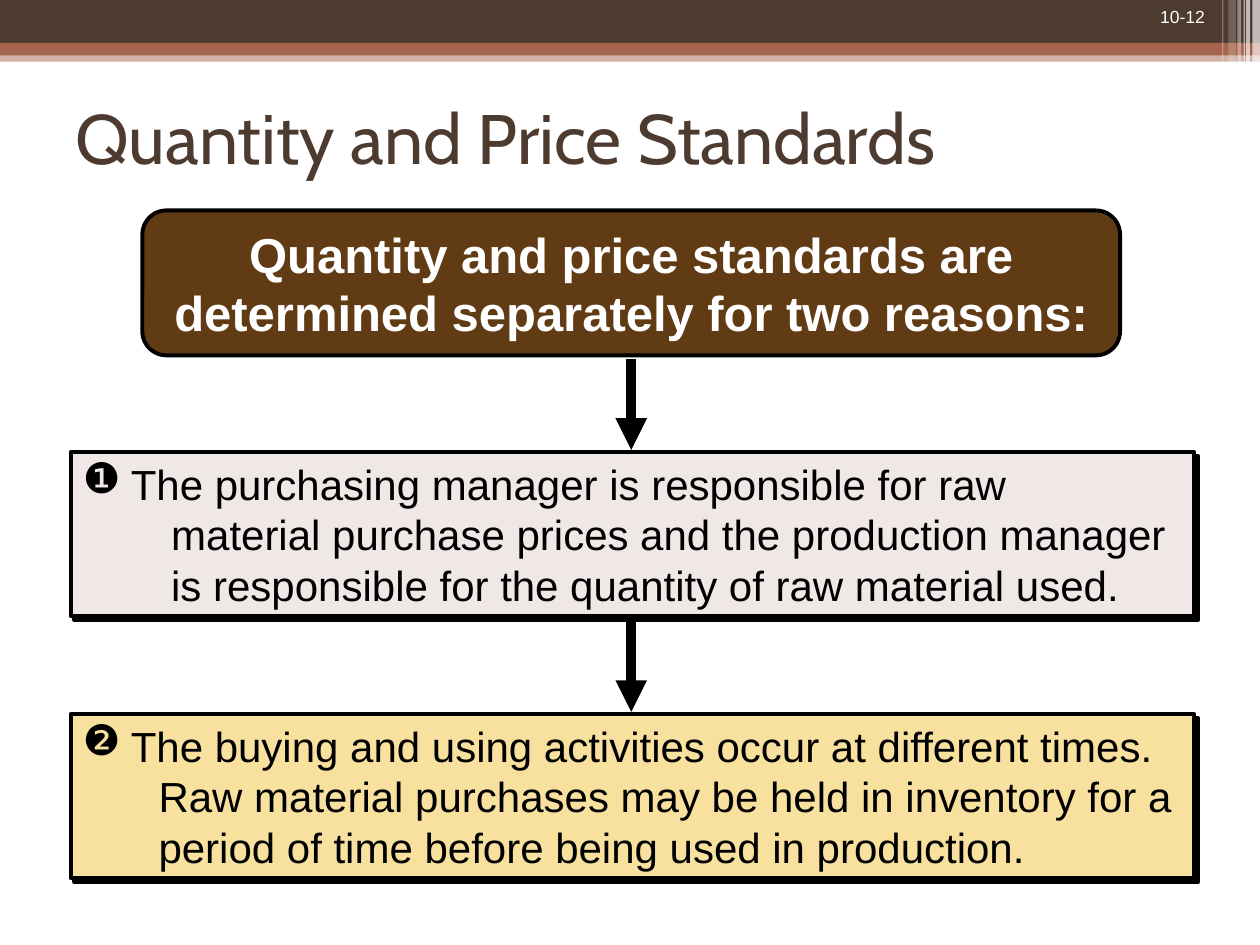
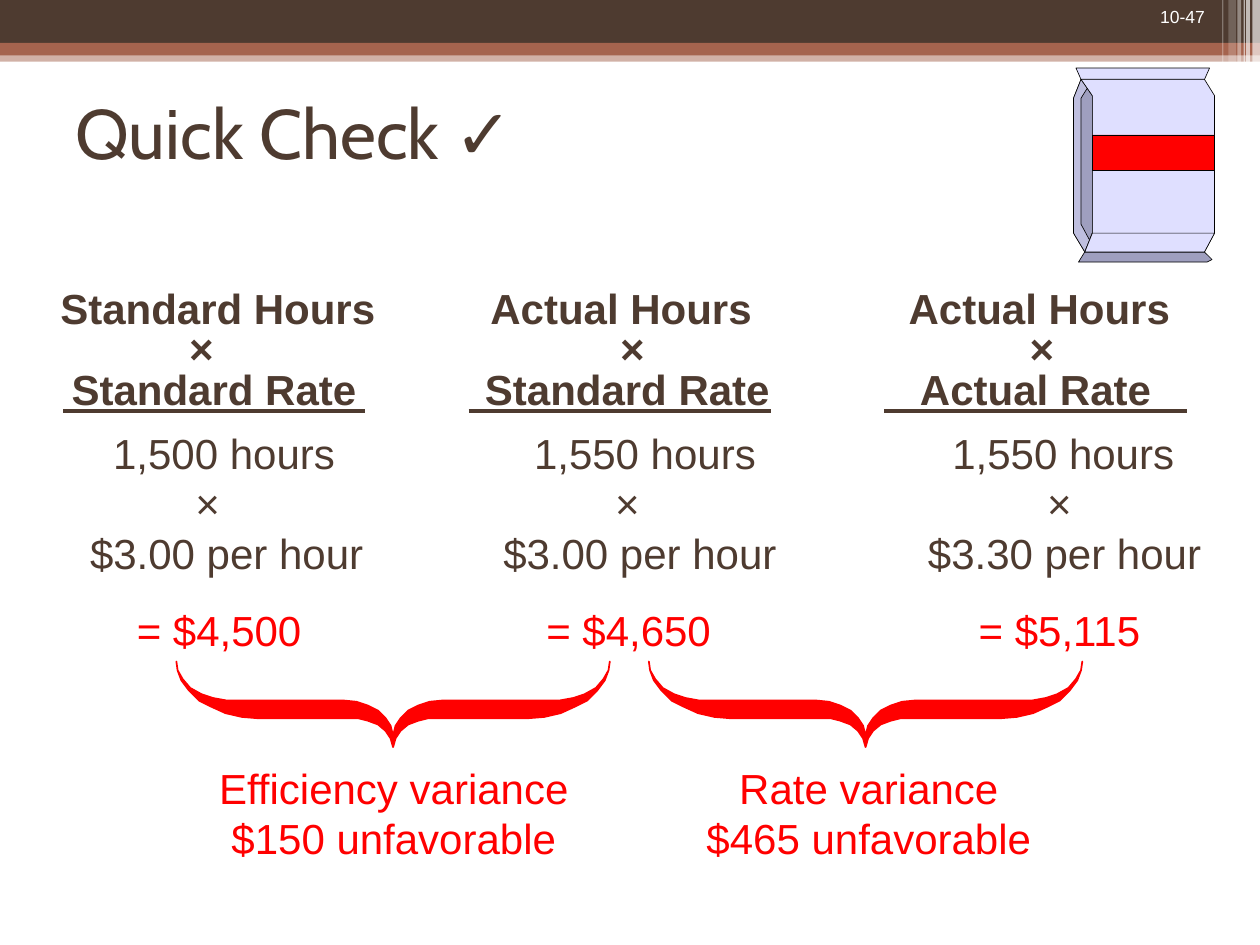
from dataclasses import dataclass
from typing import NamedTuple

from lxml.etree import SubElement
from pptx import Presentation
from pptx.dml.color import RGBColor
from pptx.enum.shapes import MSO_CONNECTOR, MSO_SHAPE
from pptx.enum.text import MSO_ANCHOR, MSO_AUTO_SIZE, PP_ALIGN
from pptx.oxml.ns import qn
from pptx.util import Inches, Pt

HUES = {
    "brown": "4E3B30", "rust": "A5644E", "white": "FFFFFF", "black": "000000",
    "cocoa": "603B14", "blush": "F0E8E6", "sand": "F8E19F", "red": "FF0000",
    "lilac": "DFDFFF", "mist": "BFBFDF", "slate": "9F9FBF",
}


class Box(NamedTuple):
    left: float
    top: float
    width: float
    height: float


class Band(NamedTuple):
    box: Box
    hue: str
    alpha: int = 100


class Facet(NamedTuple):
    points: list[tuple[float, float]]
    hue: str


@dataclass
class Row:
    """One paragraph: its runs as (text, font) pairs and its layout."""
    runs: list[tuple[str, str]]
    size: float = 24
    hue: str = "brown"
    bold: bool = False
    align: PP_ALIGN = PP_ALIGN.LEFT
    before: float = 0
    pitch: float = 1.0
    stops: tuple[float, ...] = ()
    left: float = 0
    bullet: str = ""


BANDS = [
    Band(Box(0, 0.4, 10, 0.09), "rust", 50),
    Band(Box(0, 0, 10, 0.34), "brown"),
    Band(Box(0, 0.34, 10, 0.1), "rust"),
    Band(Box(9.94, 0, 0.06, 0.68), "white", 65),
    Band(Box(9.89, 0, 0.03, 0.68), "white", 65),
    Band(Box(9.87, 0, 0.01, 0.68), "white", 60),
    Band(Box(9.82, 0, 0.03, 0.68), "white", 40),
    Band(Box(9.75, 0, 0.06, 0.64), "white", 20),
    Band(Box(9.7, 0, 0.01, 0.64), "white", 30),
]

# Left half of a brace, measured from its left tip; the right half mirrors it.
BRACE_MID = 1.72
BRACE_TOP = [
    (0, 0), (0.01, 0.07), (0.05, 0.14), (0.11, 0.21), (0.2, 0.26), (0.29, 0.29),
    (0.4, 0.31), (1.33, 0.31), (1.43, 0.32), (1.52, 0.35), (1.6, 0.39),
    (1.66, 0.45), (1.7, 0.51), (1.72, 0.59),
]
BRACE_LOW = [
    (1.72, 0.68), (1.7, 0.61), (1.66, 0.55), (1.6, 0.5), (1.52, 0.47),
    (1.44, 0.45), (0.64, 0.45), (0.52, 0.44), (0.39, 0.41), (0.28, 0.36),
    (0.18, 0.31), (0.1, 0.23), (0.04, 0.15), (0.01, 0.07),
]

BAG_BACK = [
    Facet([(8.58, 0.63), (8.52, 0.78), (8.52, 1.85), (8.61, 2), (8.67, 1.85),
           (8.67, 0.76)], "slate"),
    Facet([(8.58, 0.63), (8.63, 0.7), (8.58, 0.78), (8.58, 1.78), (8.65, 1.91),
           (8.61, 2), (8.52, 1.85), (8.52, 0.78)], "mist"),
    Facet([(8.58, 0.63), (8.54, 0.54), (9.6, 0.54), (9.56, 0.63)], "lilac"),
    Facet([(8.61, 2), (9.56, 2), (9.62, 2.06), (9.58, 2.08), (8.56, 2.08)], "slate"),
    Facet([(8.61, 2), (9.56, 2), (9.64, 1.85), (9.64, 0.76), (9.56, 0.63),
           (8.58, 0.63), (8.67, 0.76), (8.67, 1.85)], "lilac"),
]
BAG_FOLD = Facet([(8.67, 1.85), (8.61, 2), (9.56, 2), (9.64, 1.85)], "lilac")


def rgb(hue: str) -> RGBColor:
    return RGBColor.from_string(HUES[hue])


def place(shape, box: Box) -> None:
    shape.left, shape.top, shape.width, shape.height = map(Inches, box)


def paint(shape, hue: str, edge: str = "", weight: float = 0) -> None:
    shape.shadow.inherit = False
    shape.fill.solid()
    shape.fill.fore_color.rgb = rgb(hue)
    if edge:
        shape.line.color.rgb = rgb(edge)
        shape.line.width = Pt(weight)
    else:
        shape.line.fill.background()


def fade(shape, alpha: int) -> None:
    color = shape.fill._xPr.find(qn("a:solidFill"))[0]
    SubElement(color, qn("a:alpha"), val=str(alpha * 1000))


def cast(shape) -> None:
    """Add a hard black shadow to the lower right."""
    effects = shape._element.spPr.find(qn("a:effectLst"))
    shade = SubElement(effects, qn("a:outerShdw"), dist=str(Pt(3)),
                       dir=str(45 * 60000), algn="ctr", rotWithShape="0")
    SubElement(shade, qn("a:srgbClr"), val=HUES["black"])


def block(slide, box: Box, hue: str, edge: str = "", weight: float = 0,
          kind=MSO_SHAPE.RECTANGLE):
    shape = slide.shapes.add_shape(kind, *map(Inches, box))
    paint(shape, hue, edge, weight)
    return shape


def outline(slide, points: list, hue: str, edge: str, weight: float) -> None:
    spots = [(Inches(x), Inches(y)) for x, y in points]
    pen = slide.shapes.build_freeform(*spots[0])
    pen.add_line_segments(spots[1:], close=True)
    paint(pen.convert_to_shape(), hue, edge, weight)


def rule(slide, start: tuple, end: tuple, hue: str, weight: float, arrow=False) -> None:
    line = slide.shapes.add_connector(
        MSO_CONNECTOR.STRAIGHT, *map(Inches, start + end))
    line.line.color.rgb = rgb(hue)
    line.line.width = Pt(weight)
    if arrow:
        SubElement(line.line._ln, qn("a:tailEnd"), type="triangle")
    SubElement(line._element.spPr, qn("a:effectLst"))


def write(shape, rows: list[Row], anchor=MSO_ANCHOR.TOP) -> None:
    frame = shape.text_frame
    frame.word_wrap = True
    frame.auto_size = MSO_AUTO_SIZE.NONE
    frame.vertical_anchor = anchor
    for count, row in enumerate(rows):
        para = frame.add_paragraph() if count else frame.paragraphs[0]
        props = para._p.get_or_add_pPr()
        if row.left:
            props.set("marL", str(Inches(row.left)))
        if row.bullet:
            props.set("indent", str(-Inches(row.left)))
            tint = SubElement(props, qn("a:buClr"))
            SubElement(tint, qn("a:srgbClr"), val=HUES["black"])
            SubElement(props, qn("a:buChar"), char=row.bullet)
        if row.stops:
            tabs = SubElement(props, qn("a:tabLst"))
            for stop in row.stops:
                SubElement(tabs, qn("a:tab"), pos=str(Inches(stop)), algn="ctr")
        para.alignment = row.align
        if row.pitch != 1:
            para.line_spacing = row.pitch
        if row.before:
            para.space_before = Pt(row.before)
        for text, face in row.runs:
            run = para.add_run()
            run.text = text
            run.font.name = face
            run.font.size = Pt(row.size)
            run.font.bold = row.bold
            run.font.color.rgb = rgb(row.hue)


def label(slide, box: Box, rows: list[Row]) -> None:
    write(slide.shapes.add_textbox(*map(Inches, box)), rows)


def plain(text: str, **style) -> Row:
    return Row([(text, "Arial")], **style)


def start(deck, title: Row, number: str):
    """Add a slide with the shared bands, page number and title."""
    slide = deck.slides.add_slide(deck.slide_layouts[5])
    for band in BANDS:
        shape = block(slide, band.box, band.hue)
        if band.alpha < 100:
            fade(shape, band.alpha)
    label(slide, Box(8.58, 0, 1.08, 0.27),
          [plain(number, size=10, hue="white", align=PP_ALIGN.RIGHT)])
    place(slide.shapes.title, Box(0.5, 0.5, 9, 1.17))
    write(slide.shapes.title, [title], MSO_ANCHOR.MIDDLE)
    return slide


def reasons(deck) -> None:
    title = Row([("Quantity and Price Standards", "Cabin")], size=40)
    slide = start(deck, title, "10-12")
    lead = block(slide, Box(1.13, 1.67, 7.76, 1.15), "cocoa", "black", 2.25,
                 MSO_SHAPE.ROUNDED_RECTANGLE)
    write(lead, [plain("Quantity and price standards are determined separately "
                       "for two reasons:", size=28, hue="white", bold=True,
                       align=PP_ALIGN.CENTER)], MSO_ANCHOR.MIDDLE)
    cards = [
        ("❶", "blush", 0.7, "The purchasing manager is responsible for raw",
         "material purchase prices and the production manager "
         "is responsible for the quantity of raw material used."),
        ("❷", "sand", 0.6, "The buying and using activities occur at different times.",
         "Raw material purchases may be held in inventory for a "
         "period of time before being used in production."),
    ]
    for count, (mark, hue, left, first, rest) in enumerate(cards):
        top = 3.59 + 2.08 * count
        card = block(slide, Box(0.56, top, 8.92, 1.3), hue, "black", 2.25)
        cast(card)
        write(card, [plain(first, hue="black", left=0.38, bullet=mark),
                     plain(rest, hue="black", left=left)])
        rule(slide, (5.01, top - 0.74), (5.01, top - 0.02), "black", 6, arrow=True)


def grid(slide, box: Box, lines: list, **style) -> None:
    """Write lines of three cells, each centred on its own spot."""
    rows = []
    for cells, spots, extra in lines:
        stops = tuple(round(spot - box.left - 0.1, 2) for spot in spots)
        text = "".join("\t" + cell for cell in cells)
        rows.append(plain(text, stops=stops, **style, **extra))
    label(slide, box, rows)


def brace(slide, left: float, top: float) -> None:
    flip = [(2 * BRACE_MID - x, y) for x, y in BRACE_TOP[-2::-1]]
    under = [(2 * BRACE_MID - x, y) for x, y in BRACE_LOW[:0:-1]]
    points = BRACE_TOP + flip + under + BRACE_LOW
    outline(slide, [(left + x, top + y) for x, y in points], "red", "red", 1)


def bag(slide) -> None:
    for facet in BAG_BACK:
        outline(slide, facet.points, facet.hue, "black", 0.37)
    block(slide, Box(8.67, 1.07, 0.97, 0.28), "red", "black", 0.37)
    outline(slide, BAG_FOLD.points, BAG_FOLD.hue, "black", 0.37)


def check(deck) -> None:
    title = Row([("Quick Check ", "Cabin"), ("✓", "Arial")], size=40, pitch=0.9)
    slide = start(deck, title, "10-47")
    bag(slide)
    grid(slide, Box(0.29, 2.27, 9.58, 1.06), [
        (("Standard Hours", "Actual Hours", "Actual Hours"), (1.73, 4.93, 8.25), {}),
        ("×××", (1.6, 5.02, 8.27), {}),
        (("Standard Rate", "Standard Rate", "Actual Rate"), (1.7, 4.98, 8.22), {}),
    ], bold=True, pitch=0.8)
    grid(slide, Box(0.25, 3.34, 9.41, 1.91), [
        (("1,500 hours", "1,550 hours", "1,550 hours"), (1.78, 5.12, 8.44), {}),
        ("×××", (1.65, 4.98, 8.41), {}),
        (("$3.00 per hour", "$3.00 per hour", "$3.30 per hour"), (1.8, 5.08, 8.45), {}),
        (("= $4,500", "= $4,650", "= $5,115"), (1.74, 4.99, 8.41),
         {"hue": "red", "before": 15}),
    ])
    for left in (0.5, 3.72, 7.02):
        rule(slide, (left, 3.26), (left + 2.4, 3.26), "brown", 2.25)
    sums = [(1.4, 1, "Efficiency variance", "$150 unfavorable"),
            (5.15, 4.77, "Rate variance", "$465 unfavorable")]
    for tip, left, *lines in sums:
        brace(slide, tip, 5.25)
        label(slide, Box(left, 6, 4.25, 0.9),
              [plain(line, hue="red", align=PP_ALIGN.CENTER) for line in lines])


def main() -> None:
    deck = Presentation()
    deck.slide_width, deck.slide_height = Inches(10), Inches(7.5)
    reasons(deck)
    check(deck)
    deck.save("out.pptx")


if __name__ == "__main__":
    main()
